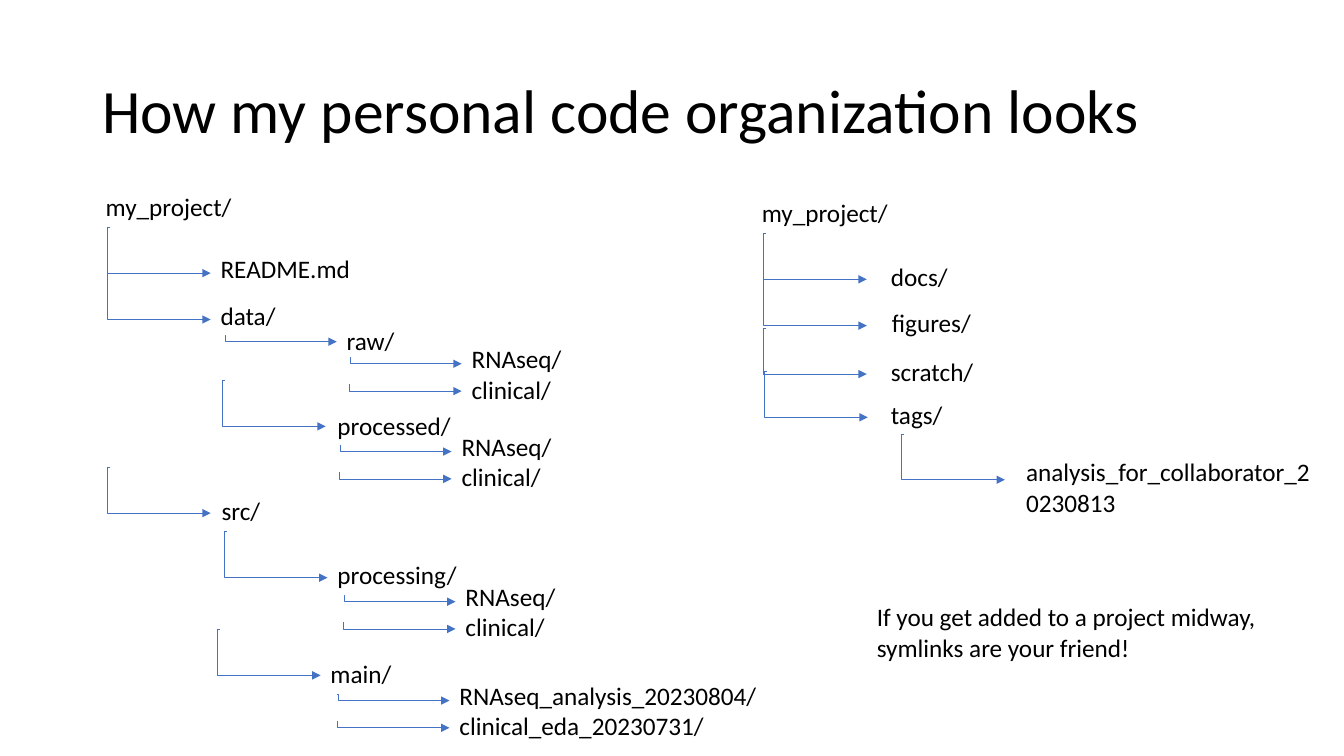
from lxml import etree
from pptx import Presentation
from pptx import util as u
from pptx.dml.color import RGBColor
from pptx.enum import shapes, text
from pptx.oxml.ns import qn

Pt = u.Pt
FONT = "Calibri"
BLACK, BLUE = "000000", "4472C4"
LABEL_WIDTH = 165.6

# Kinds of branch: width, height, position of the bend in 1/100000 of the width
FOLDER = (72, 32.8, -2900)
LEAF = (80, 4.6, 400)
LAST_LEAF = (80, 4.6, -300)


def leaf_pair(x, y, first="RNAseq/", second="clinical/", widths=(LABEL_WIDTH, LABEL_WIDTH)):
    return [
        (first, x, y, LEAF, 0, 18, widths[0]),
        (second, x, y + 21.6, LAST_LEAF, 0, 15.9, widths[1]),
    ]


# Entries: name, x, y, branch, gap from arrow tip, tip below label top, label width
CODE_TREE = [
    ("README.md", 82.1, 43.9, FOLDER, 0, 18, LABEL_WIDTH),
    ("data/", 82.1, 77.8, FOLDER, 0, 17.2, LABEL_WIDTH),
    ("raw/", 172.1, 95.8, LEAF, 0, 15.1, LABEL_WIDTH),
    *leaf_pair(261.4, 108.7),
    ("processed/", 165.6, 156.2, FOLDER, 1.4, 15.2, LABEL_WIDTH),
    *leaf_pair(254.2, 171.4),
    ("src/", 82.8, 216.7, FOLDER, 0.7, 16.6, LABEL_WIDTH),
    ("processing/", 165.6, 262.8, FOLDER, 0, 16.6, LABEL_WIDTH),
    *leaf_pair(257, 278.6),
    ("main/", 160.6, 333.4, FOLDER, 0, 15.8, LABEL_WIDTH),
    *leaf_pair(252.7, 349.2, "RNAseq_analysis_20230804/", "clinical_eda_20230731/",
               (244.8, 226.1)),
]
OUTPUT_TREE = [
    ("docs/", 92.2, 45.4, FOLDER, 10.1, 16.6, LABEL_WIDTH),
    ("figures/", 92.9, 78.5, FOLDER, 10.8, 16.6, LABEL_WIDTH),
    ("scratch/", 92.2, 113.1, FOLDER, 10.1, 16.6, LABEL_WIDTH),
    ("tags/", 92.2, 144, FOLDER, 9.4, 16.6, LABEL_WIDTH),
    ("analysis_for_collaborator_20230813", 188.7, 185.1, FOLDER, 8, 20.1, 224.6),
]


def color(hex_code):
    return RGBColor.from_string(hex_code)


def add_label(slide, words, x, y, width, height=29, size=18):
    label = slide.shapes.add_textbox(Pt(x), Pt(y), Pt(width), Pt(height))
    frame = label.text_frame
    frame.word_wrap = True
    frame.auto_size = text.MSO_AUTO_SIZE.SHAPE_TO_FIT_TEXT
    paragraph = frame.paragraphs[0]
    paragraph.text = words
    paragraph.font.size = Pt(size)
    paragraph.font.name = FONT
    paragraph.font.color.rgb = color(BLACK)
    return frame


def add_branch(slide, tip_x, tip_y, branch):
    """Draw a bent arrow that ends at the given tip."""
    width, height, bend = branch
    arrow = slide.shapes.add_connector(
        shapes.MSO_CONNECTOR.ELBOW,
        Pt(tip_x - width), Pt(tip_y - height), Pt(tip_x), Pt(tip_y))
    arrow.line.color.rgb = color(BLUE)
    arrow.line.width = Pt(0.5)
    properties = arrow._element.spPr
    guides = properties.find(qn("a:prstGeom")).find(qn("a:avLst"))
    etree.SubElement(guides, qn("a:gd"), name="adj1", fmla=f"val {bend}")
    etree.SubElement(properties.find(qn("a:ln")), qn("a:tailEnd"), type="triangle")
    etree.SubElement(properties, qn("a:effectLst"))


def add_title(slide, x, y, width, height):
    frame = add_label(slide, "How my personal code organization looks",
                      x, y, width, height, size=44)
    frame.auto_size = text.MSO_AUTO_SIZE.NONE
    frame.vertical_anchor = text.MSO_ANCHOR.MIDDLE
    frame.paragraphs[0].line_spacing = 0.9


def add_tree(slide, left, top, entries):
    add_label(slide, "my_project/", left, top, LABEL_WIDTH)
    for name, dx, dy, branch, gap, drop, width in entries:
        x, y = left + dx, top + dy
        add_branch(slide, x - gap, y + drop, branch)
        add_label(slide, name, x, y, width)


def main():
    deck = Presentation()
    deck.slide_width, deck.slide_height = Pt(960), Pt(540)
    slide = deck.slides.add_slide(deck.slide_layouts[6])
    add_title(slide, 66, 28.8, 828, 104.4)
    add_tree(slide, 68.4, 133.2, CODE_TREE)
    add_tree(slide, 537.1, 137.5, OUTPUT_TREE)
    add_label(slide, "If you get added to a project midway, symlinks are your friend!",
              619.2, 426.2, 306.7, 51)
    deck.save("out.pptx")


if __name__ == "__main__":
    main()
